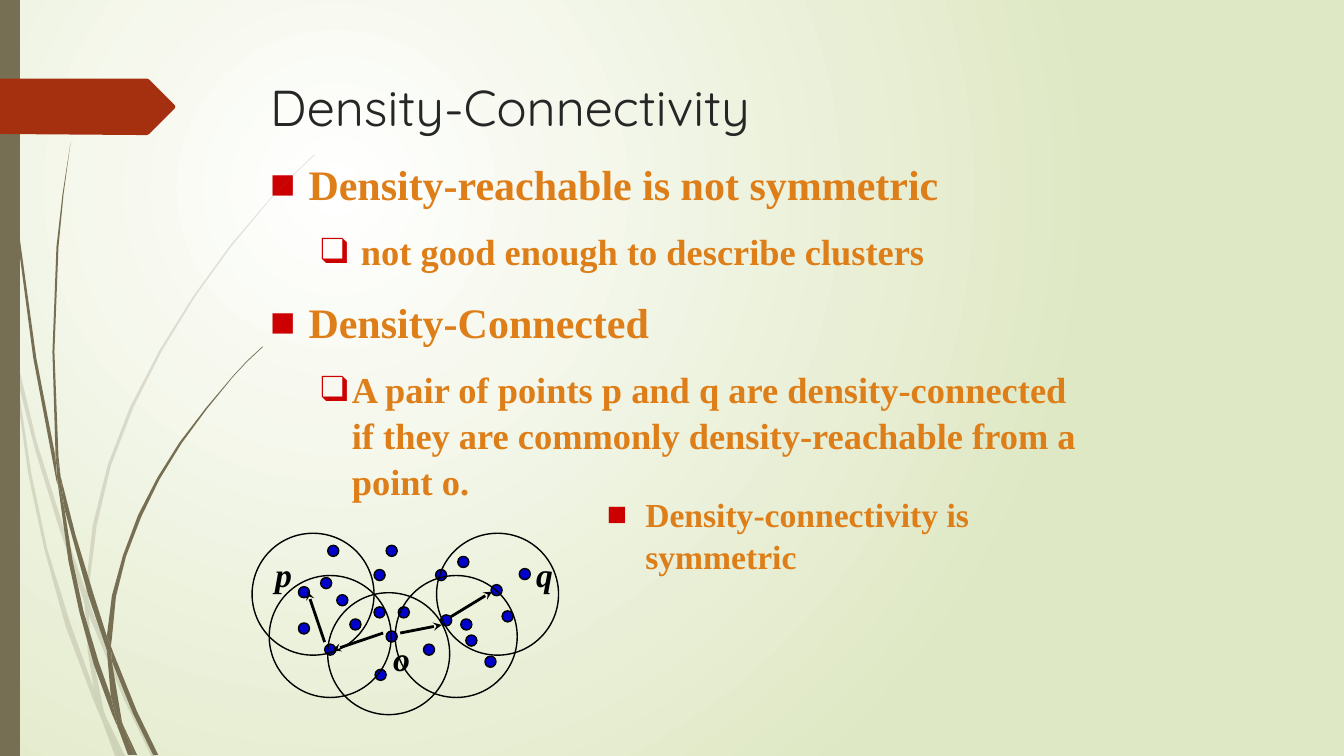
from lxml import etree
from pptx import Presentation
from pptx import util as u
from pptx.dml.color import RGBColor
from pptx.enum import shapes, text
from pptx.oxml import ns

# All lengths are counted on a grid of 1/100 inch
GRID = u.Inches(0.01)
WIDTH, HEIGHT = 1333, 750
COLORS = {
    "glow": "FFFFFF", "edge": "DFE8C4", "grass": "766F54", "pennant": "A53010",
    "title": "262626", "body": "DE7E18", "bullet": "CC0000",
    "point": "0000CC", "ink": "000000",
}
SERIF = "Times New Roman"
DOT, CIRCLE = 11, 121

# Blades of grass: outline corners
PALE_BLADES = [
    [(11, 350), (9, 322), (0, 282), (0, 299), (10, 344)],
    [(58, 522), (84, 599), (85, 586), (62, 520), (36, 437), (14, 345), (17, 376), (35, 447)],
    [(92, 607), (88, 596), (88, 610), (123, 694), (150, 750), (155, 750), (127, 692)],
    [(119, 750), (124, 750), (105, 711)],
    [(93, 683), (70, 619), (47, 545), (31, 469), (17, 376), (11, 350), (28, 470),
     (44, 545), (65, 621), (92, 693), (101, 714), (99, 707)],
    [(84, 599), (87, 646), (93, 683), (96, 692), (105, 711), (103, 706), (91, 646),
     (88, 610), (88, 608)],
    [(88, 584), (96, 521), (110, 462), (132, 405), (160, 349), (193, 295), (229, 245),
     (268, 198), (290, 175), (312, 154), (312, 153), (289, 175), (268, 197), (228, 244),
     (191, 295), (158, 348), (129, 404), (107, 461), (92, 521), (85, 584), (85, 586), (88, 596)],
    [(101, 714), (114, 750), (119, 750)],
    [(88, 608), (88, 596), (85, 586), (84, 599)],
    [(96, 692), (93, 683), (99, 707), (101, 714), (119, 750), (105, 711)],
]
DARK_BLADES = [
    [(7, 110), (17, 233), (33, 355), (56, 477), (57, 481), (55, 453), (36, 355),
     (19, 232), (8, 109), (5, 48), (4, 0), (3, 0), (4, 48)],
    [(88, 592), (106, 645), (106, 631), (93, 590), (75, 531), (60, 472), (64, 505)],
    [(113, 649), (110, 641), (111, 656), (132, 708), (152, 749), (157, 749), (136, 706)],
    [(110, 691), (98, 657), (83, 607), (72, 556), (64, 505), (57, 477), (68, 557),
     (79, 608), (93, 659), (111, 708), (117, 722), (116, 717)],
    [(60, 472), (58, 453), (54, 349), (58, 245), (63, 193), (70, 141), (62, 193),
     (56, 245), (52, 349), (55, 449)],
    [(133, 749), (136, 749), (122, 719)],
    [(57, 477), (64, 505), (60, 472), (55, 449)],
    [(111, 633), (115, 592), (125, 552), (140, 513), (158, 476), (180, 440), (205, 406),
     (231, 374), (245, 359), (261, 344), (260, 344), (245, 358), (231, 373), (204, 405),
     (178, 439), (156, 474), (137, 511), (122, 551), (111, 591), (106, 631), (110, 641)],
    [(117, 722), (127, 749), (131, 749)],
    [(106, 645), (110, 691), (116, 706), (122, 719), (121, 716), (111, 656), (109, 651)],
    [(106, 645), (109, 651), (111, 656), (110, 641), (106, 631)],
    [(116, 706), (110, 691), (116, 717), (117, 722), (130, 749), (133, 749), (122, 719)],
]
PENNANT = [(0, 78), (146, 78), (148, 79), (173, 104), (174, 106), (173, 108),
           (148, 133), (146, 134), (136, 134), (0, 133)]

# Density diagram: top left corners of points and neighbourhoods, arrows as tail and tip
POINTS = [
    (334, 590), (371, 602), (371, 565), (322, 639), (347, 614), (372, 664), (383, 626),
    (383, 541), (457, 614), (432, 565), (296, 618), (395, 602), (420, 639), (481, 651),
    (498, 606), (437, 610), (462, 630), (515, 564), (454, 552), (487, 580), (318, 573),
    (296, 582), (325, 541),
]
NEIGHBOURHOODS = [(250, 529), (267, 571), (325, 588), (392, 571), (433, 529)]
ARROWS = [((380, 628), (330, 645)), ((397, 628), (438, 620)),
          ((322, 637), (305, 587)), ((447, 612), (488, 587))]
LABELS = {"p": (263, 545), "q": (522, 545), "o": (380, 628)}


def rgb(name):
    return RGBColor.from_string(COLORS[name])


def cells(*lengths):
    return [n * GRID for n in lengths]


def add_xml(parent, tag, **attributes):
    return etree.SubElement(parent, ns.qn(tag), attributes)


def paint_background(slide):
    fill = slide.background.fill
    fill.gradient()
    for stop, name, position in zip(fill.gradient_stops, ("glow", "edge"), (0, 1)):
        stop.color.rgb, stop.position = rgb(name), position
    gradient = next(slide.element.iter(ns.qn("a:gradFill")))
    gradient.remove(gradient.find(ns.qn("a:lin")))
    circle = add_xml(gradient, "a:path", path="circle")
    add_xml(circle, "a:fillToRect", l="50000", t="50000", r="100000", b="100000")


def add_outline(slide, corners, color, opacity=100):
    builder = slide.shapes.build_freeform(*corners[0], scale=float(GRID))
    builder.add_line_segments(corners[1:], close=True)
    outline = builder.convert_to_shape()
    outline.shadow.inherit = False
    outline.line.fill.background()
    outline.fill.solid()
    outline.fill.fore_color.rgb = rgb(color)
    if opacity < 100:
        solid = next(outline.element.spPr.iter(ns.qn("a:srgbClr")))
        add_xml(solid, "a:alpha", val=str(opacity * 1000))


def add_ellipse(slide, corner, size, fill=None):
    ellipse = slide.shapes.add_shape(shapes.MSO_SHAPE.OVAL, *cells(*corner, size, size))
    ellipse.shadow.inherit = False
    ellipse.line.color.rgb, ellipse.line.width = rgb("ink"), u.Pt(1)
    if fill:
        ellipse.fill.solid()
        ellipse.fill.fore_color.rgb = rgb(fill)
    else:
        ellipse.fill.background()


def add_arrow(slide, tail, tip):
    arrow = slide.shapes.add_connector(
        shapes.MSO_CONNECTOR.STRAIGHT, *cells(*tail, *tip))
    arrow.line.color.rgb, arrow.line.width = rgb("ink"), u.Pt(2)
    add_xml(arrow.line._get_or_add_ln(), "a:tailEnd", type="stealth")
    add_xml(arrow.element.spPr, "a:effectLst")


def place(box, left, top, width, height):
    box.left, box.top, box.width, box.height = cells(left, top, width, height)
    frame = box.text_frame
    frame.word_wrap = True
    frame.auto_size = text.MSO_AUTO_SIZE.NONE
    frame.vertical_anchor = text.MSO_ANCHOR.TOP
    return frame


def write(frame, words, size, color, font=SERIF, bold=True, italic=False, bullet=None,
          level=0, margin=0, hang=0, before=0, spacing=1.0):
    paragraph = frame.paragraphs[0]
    if paragraph.text:
        paragraph = frame.add_paragraph()
    paragraph.text = words
    paragraph.level = level
    paragraph.alignment = text.PP_ALIGN.LEFT
    paragraph.line_spacing = spacing
    paragraph.space_before = u.Pt(before)
    if bullet:
        props = paragraph._p.get_or_add_pPr()
        props.set("marL", str(margin * GRID))
        props.set("indent", str(-hang * GRID))
        add_xml(add_xml(props, "a:buClr"), "a:srgbClr", val=COLORS["bullet"])
        add_xml(props, "a:buFont", typeface=SERIF)
        add_xml(props, "a:buChar", char=bullet)
    style = paragraph.runs[0].font
    style.name, style.size, style.color.rgb = font, u.Pt(size), rgb(color)
    style.bold, style.italic = bold, italic


def main():
    deck = Presentation()
    deck.slide_width, deck.slide_height = cells(WIDTH, HEIGHT)
    slide = deck.slides.add_slide(deck.slide_layouts[3])
    title, definitions, remark = slide.placeholders

    # Backdrop
    paint_background(slide)
    for blade in PALE_BLADES:
        add_outline(slide, blade, "grass", opacity=20)
    for blade in DARK_BLADES:
        add_outline(slide, blade, "grass")
    add_outline(slide, [(0, 0), (20, 0), (20, HEIGHT), (0, HEIGHT)], "grass")
    add_outline(slide, PENNANT, "pennant")

    # Title and lists
    write(place(title, 258, 70, 850, 125), "Density-Connectivity", 36, "title",
          font="Quicksand", bold=False)
    topic = dict(size=30, color="body", bullet="■", margin=38, hang=38, spacing=1.05)
    detail = dict(size=26, color="body", bullet="❑", level=1, before=13, spacing=1.05)
    frame = place(definitions, 258, 150, 838, 450)
    write(frame, "Density-reachable is not symmetric", **topic)
    write(frame, "not good enough to describe clusters", margin=90, hang=40, **detail)
    write(frame, "Density-Connected", before=15, **topic)
    write(frame, "A pair of points p and q are density-connected if they are commonly "
          "density-reachable from a point o.", margin=81, hang=31, **detail)
    write(place(remark, 592, 483, 500, 125), "Density-connectivity is symmetric",
          **{**topic, "size": 24})

    # Density diagram
    for corner in POINTS:
        add_ellipse(slide, corner, DOT, fill="point")
    for corner in NEIGHBOURHOODS:
        add_ellipse(slide, corner, CIRCLE)
    for tail, tip in ARROWS:
        add_arrow(slide, tail, tip)
    for letter, corner in LABELS.items():
        label = slide.shapes.add_textbox(*cells(*corner, 42, 51))
        write(place(label, *corner, 42, 51), letter, 24, "ink", italic=True)

    deck.save("out.pptx")


if __name__ == "__main__":
    main()
